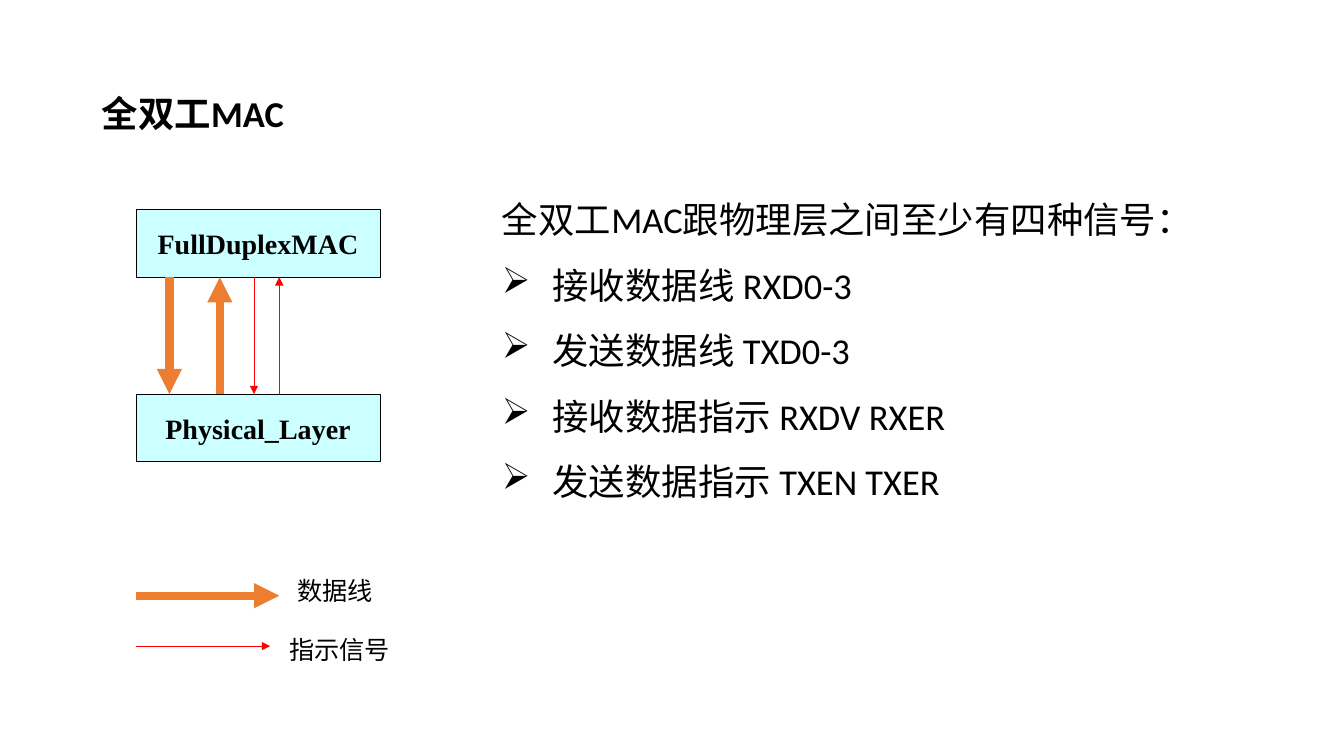
import dataclasses

import lxml.etree
import pptx
import pptx.dml.color
import pptx.enum.shapes
import pptx.enum.text
import pptx.oxml.ns
import pptx.util

Inches = pptx.util.Inches
Pt = pptx.util.Pt
RGB = pptx.dml.color.RGBColor.from_string
ALIGN = pptx.enum.text.PP_ALIGN
ANCHOR = pptx.enum.text.MSO_ANCHOR
qn = pptx.oxml.ns.qn


@dataclasses.dataclass
class Theme:
    ink: str = "000000"
    box: str = "CCFFFF"
    data: str = "ED7D31"
    signal: str = "FF0000"
    sans: str = "Calibri"
    serif: str = "Times New Roman"
    body: int = 26
    label: int = 20
    legend: int = 18
    thick: float = 6
    thin: float = 0.75


theme = Theme()

deck = pptx.Presentation()
deck.slide_width = Inches(13.33)
deck.slide_height = Inches(7.5)
slide = deck.slides.add_slide(deck.slide_layouts[6])


def style(para, text, face, size, bold=False):
    para.text = text
    para.font.name = face
    para.font.size = Pt(size)
    para.font.bold = bold
    para.font.color.rgb = RGB(theme.ink)


def add_text(left, top, width, height, anchor=ANCHOR.TOP):
    frame = slide.shapes.add_textbox(
        Inches(left), Inches(top), Inches(width), Inches(height)).text_frame
    frame.word_wrap = True
    frame.vertical_anchor = anchor
    return frame


# Title
title = add_text(0.91, 0.91, 8.25, 0.48, ANCHOR.MIDDLE)
title.margin_top = title.margin_bottom = Inches(0.04)
title.paragraphs[0].line_spacing = 0.9
style(title.paragraphs[0], "全双工MAC", theme.sans, theme.body, True)

# Signal list: a lead line, then bullets
lines = [
    "全双工MAC跟物理层之间至少有四种信号：",
    "接收数据线 RXD0-3",
    "发送数据线 TXD0-3",
    "接收数据指示 RXDV RXER",
    "发送数据指示 TXEN TXER",
]
body = add_text(4.88, 1.68, 7.95, 3.37, ANCHOR.MIDDLE)
body.margin_top = body.margin_bottom = Inches(0.04)
for i, line in enumerate(lines):
    para = body.add_paragraph() if i else body.paragraphs[0]
    para.line_spacing = 1.5
    if i:
        props = para._p.get_or_add_pPr()
        props.set("marL", str(Inches(0.5)))
        props.set("indent", str(Inches(-0.5)))
        lxml.etree.SubElement(props, qn("a:buChar")).set("char", "➢")
    style(para, line, theme.sans, theme.body)

# Layer boxes
left, high, low = 1.35, 2.08, 3.91
tall = 0.67
for top, name in [(high, "FullDuplexMAC"), (low, "Physical_Layer")]:
    box = slide.shapes.add_shape(
        pptx.enum.shapes.MSO_SHAPE.RECTANGLE,
        Inches(left), Inches(top), Inches(2.42), Inches(tall))
    box.shadow.inherit = False
    box.fill.solid()
    box.fill.fore_color.rgb = RGB(theme.box)
    box.line.color.rgb = RGB(theme.ink)
    box.line.width = Pt(theme.thin)
    box.text_frame.word_wrap = False
    box.text_frame.vertical_anchor = ANCHOR.MIDDLE
    para = box.text_frame.paragraphs[0]
    para.alignment = ALIGN.CENTER
    style(para, name, theme.serif, theme.label, True)

# Arrows between the layers, then the legend arrows
base = high + tall
data = (theme.data, theme.thick)
signal = (theme.signal, theme.thin)
arrows = [
    (1.68, base, 1.68, low, data),
    (2.18, low, 2.18, base, data),
    (2.52, base, 2.52, low, signal),
    (2.77, low, 2.77, base, signal),
    (left, 5.91, 2.77, 5.91, data),
    (left, 6.41, 2.68, 6.41, signal),
]
for x1, y1, x2, y2, (color, width) in arrows:
    arrow = slide.shapes.add_connector(
        pptx.enum.shapes.MSO_CONNECTOR.STRAIGHT,
        Inches(x1), Inches(y1), Inches(x2), Inches(y2))
    arrow.line.color.rgb = RGB(color)
    arrow.line.width = Pt(width)
    tip = lxml.etree.SubElement(arrow.line._get_or_add_ln(), qn("a:tailEnd"))
    tip.set("type", "triangle")
    lxml.etree.SubElement(arrow._element.spPr, qn("a:effectLst"))

# Legend labels
for x, y, width, text in [(2.85, 5.66, 1.08, "数据线"),
                          (2.77, 6.24, 1.58, "指示信号")]:
    note = add_text(x, y, width, 0.4)
    style(note.paragraphs[0], text, theme.serif, theme.legend)

deck.save("out.pptx")
